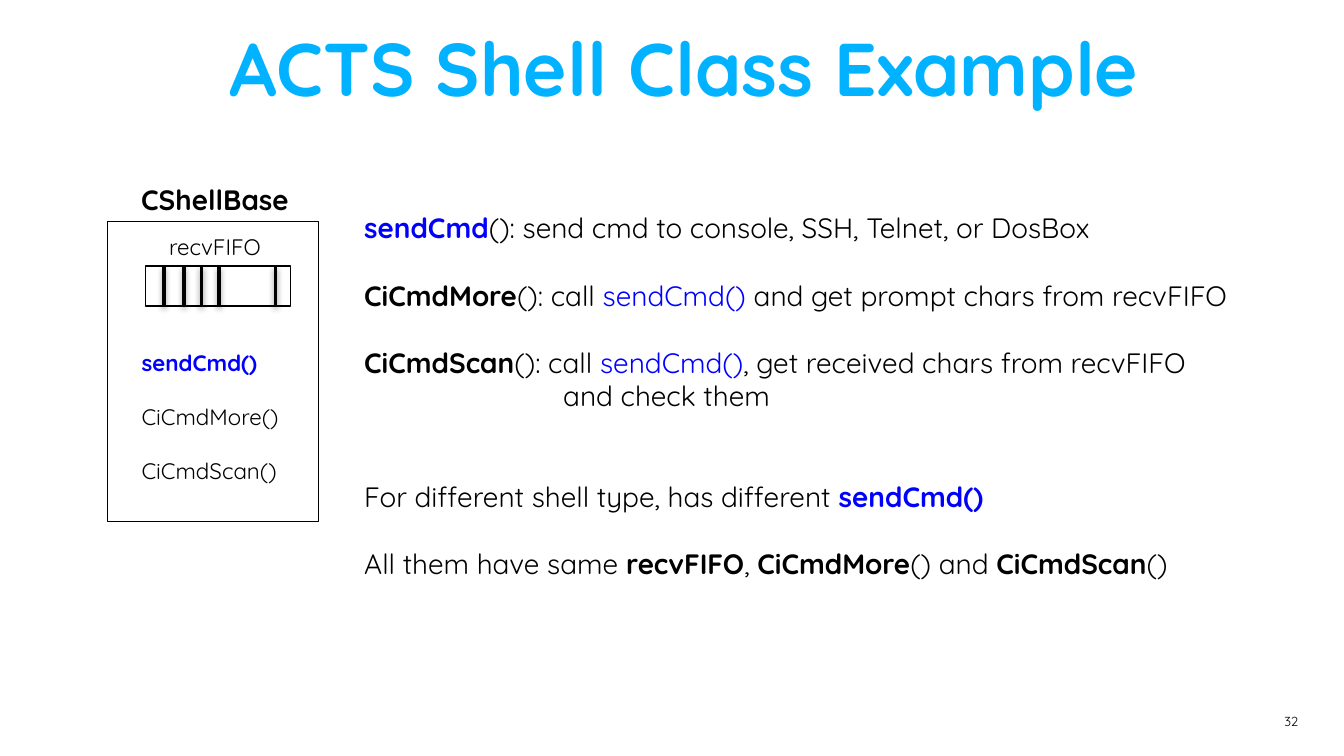
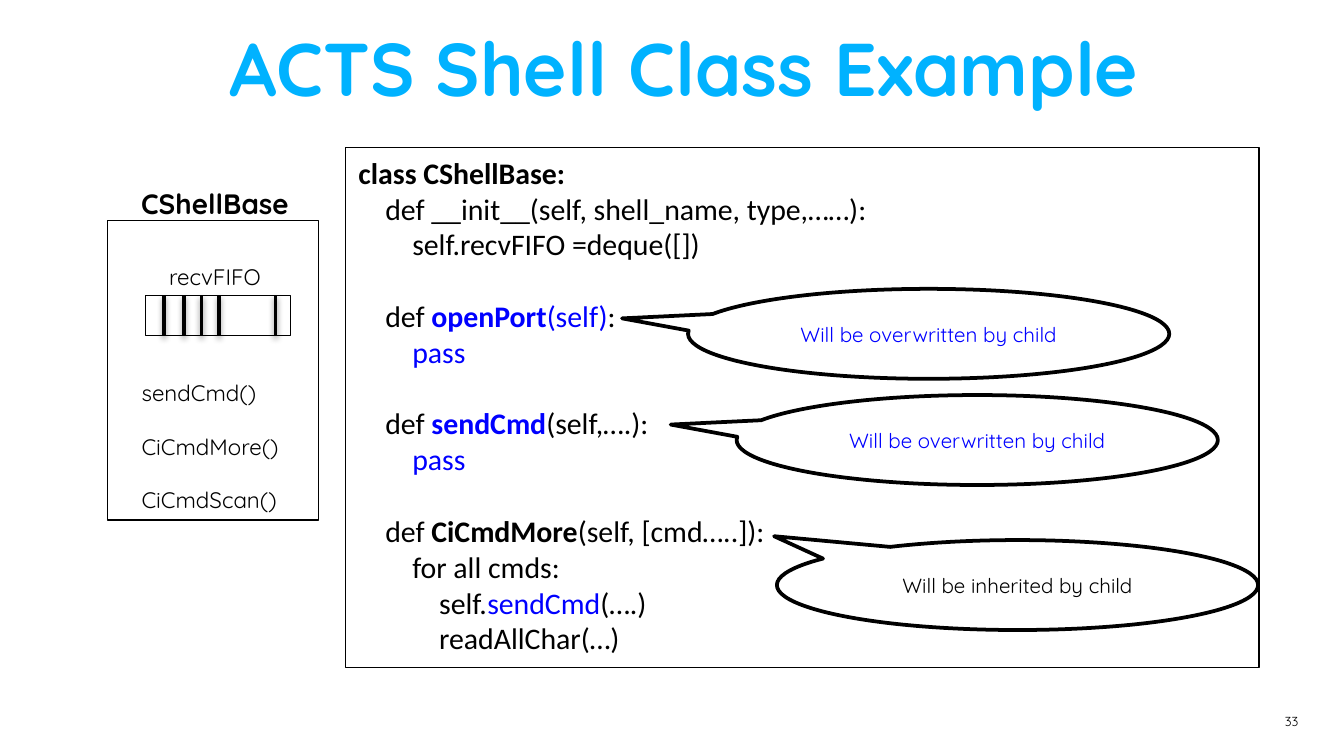
from lxml.etree import SubElement
from pptx import Presentation
from pptx.dml.color import RGBColor
from pptx.enum.shapes import MSO_CONNECTOR, MSO_SHAPE
from pptx.enum.text import MSO_ANCHOR, MSO_AUTO_SIZE, PP_ALIGN
from pptx.oxml.ns import qn
from pptx.util import Pt

COLORS = {"title": "00B2FF", "ink": "000000", "blue": "0000FF", "paper": "FFFFFF"}
SANS, CODE_FONT = "Quicksand", "Calibri"
TITLE = "ACTS Shell Class Example"
HEADING = "CShellBase"
QUEUE = "recvFIFO"
QUEUE_BARS = [10, 20.8, 30.2, 39.6, 69.8]

PLAIN, BOLD = ("ink", False), ("ink", True)
BLUE, BLUE_BOLD = ("blue", False), ("blue", True)

# Each line: space before in lines, left indent in points, runs.
BASE_METHODS = [
    (0, 0, [("sendCmd()", BLUE_BOLD)]),
    (1, 0, [("CiCmdMore()", PLAIN)]),
    (1, 0, [("CiCmdScan()", PLAIN)]),
]
CHILD_METHODS = [(0, 0, [("sendCmd()", PLAIN)])] + BASE_METHODS[1:]

DESCRIPTIONS = [
    (0, 0, [("sendCmd", BLUE_BOLD),
            ("(): send cmd to console, SSH, Telnet, or DosBox", PLAIN)]),
    (1, 0, [("CiCmdMore", BOLD), ("(): call ", PLAIN), ("sendCmd() ", BLUE),
            ("and get prompt chars from recvFIFO", PLAIN)]),
    (1, 0, [("CiCmdScan", BOLD), ("(): call ", PLAIN), ("sendCmd()", BLUE),
            (", get received chars from recvFIFO", PLAIN)]),
    (0, 106.6, [("and check them", PLAIN)]),
    (2, 0, [("For different shell type, has different ", PLAIN), ("sendCmd()", BLUE_BOLD)]),
    (1, 0, [("All them have same ", PLAIN), ("recvFIFO", BOLD), (", ", PLAIN),
            ("CiCmdMore", BOLD), ("() and ", PLAIN), ("CiCmdScan", BOLD), ("()", PLAIN)]),
]

CODE = [
    (0, 0, [("class CShellBase:", BOLD)]),
    (0, 0, [("    def __init__(self, shell_name, type,……):", PLAIN)]),
    (0, 0, [("        self.recvFIFO =deque([])", PLAIN)]),
    (1, 0, [("    def ", PLAIN), ("openPort", BLUE_BOLD), ("(self)", BLUE), (":", PLAIN)]),
    (0, 0, [("        pass", BLUE)]),
    (1, 0, [("    def ", PLAIN), ("sendCmd", BLUE_BOLD), ("(self,….):", PLAIN)]),
    (0, 0, [("        pass", BLUE)]),
    (1, 0, [("    def ", PLAIN), ("CiCmdMore", BOLD), ("(self, [cmd…..]):", PLAIN)]),
    (0, 0, [("        for all cmds:", PLAIN)]),
    (0, 0, [("            self.", PLAIN), ("sendCmd", BLUE), ("(….)", PLAIN)]),
    (0, 0, [("            readAllChar(…)", PLAIN)]),
]

CALLOUTS = [
    ("Will be overwritten by child", BLUE, 368.6, 154.8, (-0.637, -0.172)),
    ("Will be overwritten by child", BLUE, 394.6, 211.7, (-0.637, -0.172)),
    ("Will be inherited by child", PLAIN, 416.2, 289.4, (-0.506, -0.544)),
]


def rgb(name):
    return RGBColor.from_string(COLORS[name])


def set_style(font, style):
    color, bold = style
    font.color.rgb = rgb(color)
    font.bold = bold


def write(frame, lines, size, face=SANS, align=PP_ALIGN.LEFT, anchor=MSO_ANCHOR.TOP):
    frame.word_wrap = True
    frame.auto_size = MSO_AUTO_SIZE.NONE
    frame.vertical_anchor = anchor
    for index, (gap, indent, runs) in enumerate(lines):
        paragraph = frame.add_paragraph() if index else frame.paragraphs[0]
        properties = paragraph._p.get_or_add_pPr()
        properties.set("marL", str(int(Pt(indent))))
        properties.set("indent", "0")
        SubElement(properties, qn("a:buNone"))
        paragraph.alignment = align
        paragraph.space_before = Pt(gap * size * 1.2)
        paragraph.font.name = face
        paragraph.font.size = Pt(size)
        if len(runs) == 1:
            set_style(paragraph.font, runs[0][1])
        for text, style in runs:
            run = paragraph.add_run()
            run.text = text
            if len(runs) > 1:
                set_style(run.font, style)


def place(part, left, top, width, height):
    part.left, part.top, part.width, part.height = map(Pt, (left, top, width, height))


def add_text(slide, box, lines, size, **options):
    write(slide.shapes.add_textbox(*map(Pt, box)).text_frame, lines, size, **options)


def add_outline(slide, kind, box, weight, fill=None):
    outline = slide.shapes.add_shape(kind, *map(Pt, box))
    outline.shadow.inherit = False
    outline.line.color.rgb = rgb("ink")
    outline.line.width = Pt(weight)
    if fill:
        outline.fill.solid()
        outline.fill.fore_color.rgb = rgb(fill)
    else:
        outline.fill.background()
    return outline


def add_bar(slide, x, top, height):
    bar = slide.shapes.add_connector(
        MSO_CONNECTOR.STRAIGHT, Pt(x), Pt(top), Pt(x), Pt(top + height))
    bar.line.color.rgb = rgb("ink")
    bar.line.width = Pt(2)
    effects = SubElement(bar._element.spPr, qn("a:effectLst"))
    shadow = SubElement(effects, qn("a:outerShdw"), blurRad="40000", dist="20000",
                        dir="5400000", rotWithShape="0")
    ink = SubElement(shadow, qn("a:srgbClr"), val=COLORS["ink"])
    SubElement(ink, qn("a:alpha"), val="38000")


def add_class_panel(slide, heading_top, frame_top, queue_top, methods):
    queue_left, queue_height = 77.8, 21.4
    add_outline(slide, MSO_SHAPE.RECTANGLE, (57.6, frame_top, 113, 160.6), 0.75)
    add_text(slide, (83.5, queue_top - 20.9, 75, 21.6), [(0, 0, [(QUEUE, PLAIN)])], 12)
    add_outline(slide, MSO_SHAPE.RECTANGLE,
                (queue_left, queue_top, queue_left, queue_height), 0.75)
    for offset in QUEUE_BARS:
        add_bar(slide, queue_left + offset, queue_top, queue_height)
    add_text(slide, (68.6, heading_top, 105, 25.2), [(0, 0, [(HEADING, BOLD)])], 15)
    add_text(slide, (68.8, queue_top + 41.1, 100, 80), methods, 12)


def add_slide(prs, layout, number):
    slide = prs.slides.add_slide(prs.slide_layouts[layout])
    title = slide.shapes.title
    place(title, 123, 17.3, 543, 44)
    frame = title.text_frame
    frame.margin_left = frame.margin_right = frame.margin_top = frame.margin_bottom = 0
    write(frame, [(0, 0, [(TITLE, ("title", True))])], 40)
    frame.paragraphs[0].line_spacing = 0.9
    add_text(slide, (678.2, 372.2, 24.5, 28.8), [(0, 0, [(str(number), PLAIN)])], 7,
             align=PP_ALIGN.RIGHT, anchor=MSO_ANCHOR.MIDDLE)
    return slide


def main():
    prs = Presentation()
    prs.slide_width, prs.slide_height = Pt(720), Pt(405)

    methods_slide = add_slide(prs, 1, 32)
    add_class_panel(methods_slide, 94.3, 118.8, 142.5, BASE_METHODS)
    descriptions = methods_slide.placeholders[1]
    place(descriptions, 187.9, 109.4, 515, 207.4)
    write(descriptions.text_frame, DESCRIPTIONS, 15)

    code_slide = add_slide(prs, 5, 33)
    add_class_panel(code_slide, 96.5, 118.1, 158.4, CHILD_METHODS)
    listing = add_outline(code_slide, MSO_SHAPE.RECTANGLE, (185, 79.2, 489.6, 278.6), 0.75)
    write(listing.text_frame, CODE, 16, face=CODE_FONT)
    for text, style, left, top, tip in CALLOUTS:
        callout = add_outline(code_slide, MSO_SHAPE.OVAL_CALLOUT,
                              (left, top, 257.8, 48.2), 2, "paper")
        callout.adjustments[0], callout.adjustments[1] = tip
        write(callout.text_frame, [(0, 0, [(text, style)])], 11,
              align=PP_ALIGN.CENTER, anchor=MSO_ANCHOR.MIDDLE)

    prs.save("out.pptx")


if __name__ == "__main__":
    main()
